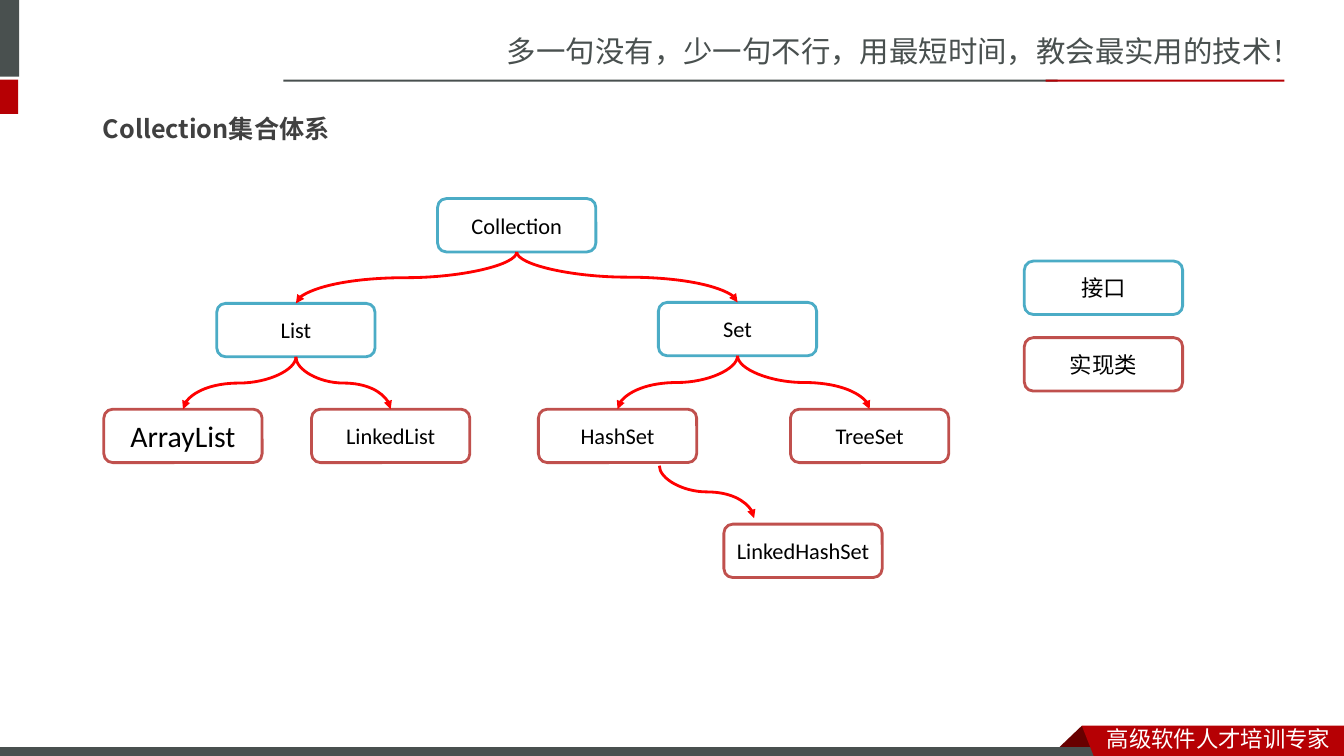
from lxml import etree
from pptx import Presentation
from pptx.dml.color import RGBColor
from pptx.enum.shapes import MSO_CONNECTOR, MSO_SHAPE
from pptx.enum.text import MSO_ANCHOR, PP_ALIGN
from pptx.oxml.ns import qn
from pptx.util import Inches, Pt

RECT = MSO_SHAPE.RECTANGLE
ROUNDED = MSO_SHAPE.ROUNDED_RECTANGLE
CURVE = MSO_CONNECTOR.CURVE
LEFT, CENTER = PP_ALIGN.LEFT, PP_ALIGN.CENTER
TOP, MIDDLE = MSO_ANCHOR.TOP, MSO_ANCHOR.MIDDLE

GREY = RGBColor(0x49, 0x50, 0x4F)
CRIMSON = RGBColor(0xB6, 0x00, 0x04)
MAROON = RGBColor(0x68, 0x00, 0x00)
WHITE = RGBColor(0xFF, 0xFF, 0xFF)
BLACK = RGBColor(0x00, 0x00, 0x00)
TITLE_GREY = RGBColor(0x40, 0x40, 0x40)
INTERFACE = RGBColor(0x4B, 0xAC, 0xC6)
CLASS = RGBColor(0xC0, 0x50, 0x4D)
ARROW_RED = RGBColor(0xFF, 0x00, 0x00)
CJK = "Noto Sans CJK SC"
LATIN = "Calibri"


def write(shape, text, size, color, font=CJK, align=LEFT, anchor=TOP, wrap=True):
    frame = shape.text_frame
    frame.text = text
    frame.word_wrap = wrap
    frame.vertical_anchor = anchor
    paragraph = frame.paragraphs[0]
    paragraph.alignment = align
    run = paragraph.runs[0]
    run.font.size = Pt(size)
    run.font.name = font
    run.font.color.rgb = color
    east_asian = etree.SubElement(run.font._element, qn("a:ea"))
    east_asian.set("typeface", CJK)
    return paragraph


def paint(shape, fill, line=None, width=0.75):
    shape.shadow.inherit = False
    shape.fill.solid()
    shape.fill.fore_color.rgb = fill
    if line is None:
        shape.line.fill.background()
    else:
        shape.line.color.rgb = line
        shape.line.width = Pt(width)


prs = Presentation()
prs.slide_width, prs.slide_height = Inches(13.33), Inches(7.5)
slide = prs.slides.add_slide(prs.slide_layouts[5])
shapes = slide.shapes

# Footer fold, behind the footer bar
# Header and footer bars
bars = [
    (-0.06, 0, 0.25, 0.76, GREY, None),
    (-0.06, 0.79, 0.24, 0.34, CRIMSON, None),
    (2.81, 0.79, 7.68, 0.02, GREY, None),
    (10.37, 0.79, 2.37, 0.02, CRIMSON, None),
    (-0.01, 7.41, 11, 0.12, GREY, WHITE),
]
for left, top, width, height, fill, line in bars:
    bar = shapes.add_shape(RECT, Inches(left), Inches(top), Inches(width), Inches(height))
    paint(bar, fill, line)

# Footer ribbon with its folded corner
ribbon_parts = [
    ([(10.73, 7.2), (10.95, 7.41), (10.51, 7.41)], MAROON),
    ([(10.73, 7.2), (13.33, 7.2), (13.33, 7.54), (10.86, 7.53)], CRIMSON),
]
for points, fill in ribbon_parts:
    corners = [(Inches(x), Inches(y)) for x, y in points]
    outline = shapes.build_freeform(*corners[0])
    outline.add_line_segments(corners[1:], close=True)
    paint(outline.convert_to_shape(), fill)

# Slogans
slogans = [
    ("多一句没有，少一句不行，用最短时间，教会最实用的技术！", 4.93, 0.28, 8.41, 0.47, 21, GREY),
    ("高级软件人才培训专家", 10.88, 7.14, 2.45, 0.37, 16, WHITE),
]
for text, left, top, width, height, size, color in slogans:
    slogan = shapes.add_textbox(Inches(left), Inches(top), Inches(width), Inches(height))
    write(slogan, text, size, color)

# Title
title = shapes.title
title.left, title.top = Inches(0.92), Inches(0.92)
title.width, title.height = Inches(8.38), Inches(0.5)
heading = write(title, "Collection集合体系", 18, TITLE_GREY)
heading.line_spacing = 1.5
heading.runs[0].font.bold = True

# Type boxes and legend
BOX_W, BOX_H = 1.57, 0.53
types = [
    ("Collection", 4.34, 1.97, INTERFACE),
    ("List", 2.15, 3.01, INTERFACE),
    ("Set", 6.53, 3, INTERFACE),
    ("ArrayList", 1.03, 4.06, CLASS),
    ("LinkedList", 3.09, 4.06, CLASS),
    ("HashSet", 5.34, 4.06, CLASS),
    ("TreeSet", 7.84, 4.06, CLASS),
    ("LinkedHashSet", 7.18, 5.2, CLASS),
    ("接口", 10.16, 2.59, INTERFACE),
    ("实现类", 10.16, 3.35, CLASS),
]
boxes = {}
for name, left, top, color in types:
    box = shapes.add_shape(ROUNDED, Inches(left), Inches(top), Inches(BOX_W), Inches(BOX_H))
    paint(box, WHITE, color, 2)
    size = 21.3 if name == "ArrayList" else 16
    write(box, name, size, BLACK, LATIN, CENTER, MIDDLE, wrap=False)
    boxes[name] = box

# Inheritance arrows, from the parent's bottom to the child's top
links = [
    ("Collection", "List"),
    ("Collection", "Set"),
    ("List", "ArrayList"),
    ("List", "LinkedList"),
    ("Set", "HashSet"),
    ("Set", "TreeSet"),
    ("HashSet", "LinkedHashSet"),
]
for parent_name, child_name in links:
    parent, child = boxes[parent_name], boxes[child_name]
    arrow = shapes.add_connector(CURVE, 0, 0, 0, 0)
    if child_name == "LinkedHashSet":
        x1, y1, x2, y2 = Inches(6.54), Inches(4.62), Inches(7.48), Inches(5.14)
    else:
        arrow.begin_connect(parent, 2)
        arrow.end_connect(child, 0)
        x1, y1 = parent.left + parent.width // 2, parent.top + parent.height
        x2, y2 = child.left + child.width // 2, child.top
    # The curve leaves downwards, so its frame is turned by a quarter
    drop, reach = y2 - y1, abs(x2 - x1)
    arrow.left, arrow.top = (x1 + x2 - drop) // 2, (y1 + y2 - reach) // 2
    arrow.width, arrow.height = drop, reach
    goes_right = x2 > x1
    properties = arrow._element.spPr
    frame = properties.find(qn("a:xfrm"))
    frame.set("rot", str((270 if goes_right else 90) * 60000))
    frame.set("flipH", "1" if goes_right else "0")
    arrow.line.color.rgb = ARROW_RED
    arrow.line.width = Pt(2)
    head = etree.SubElement(properties.find(qn("a:ln")), qn("a:tailEnd"))
    head.set("type", "triangle")
    etree.SubElement(properties, qn("a:effectLst"))

prs.save("out.pptx")
